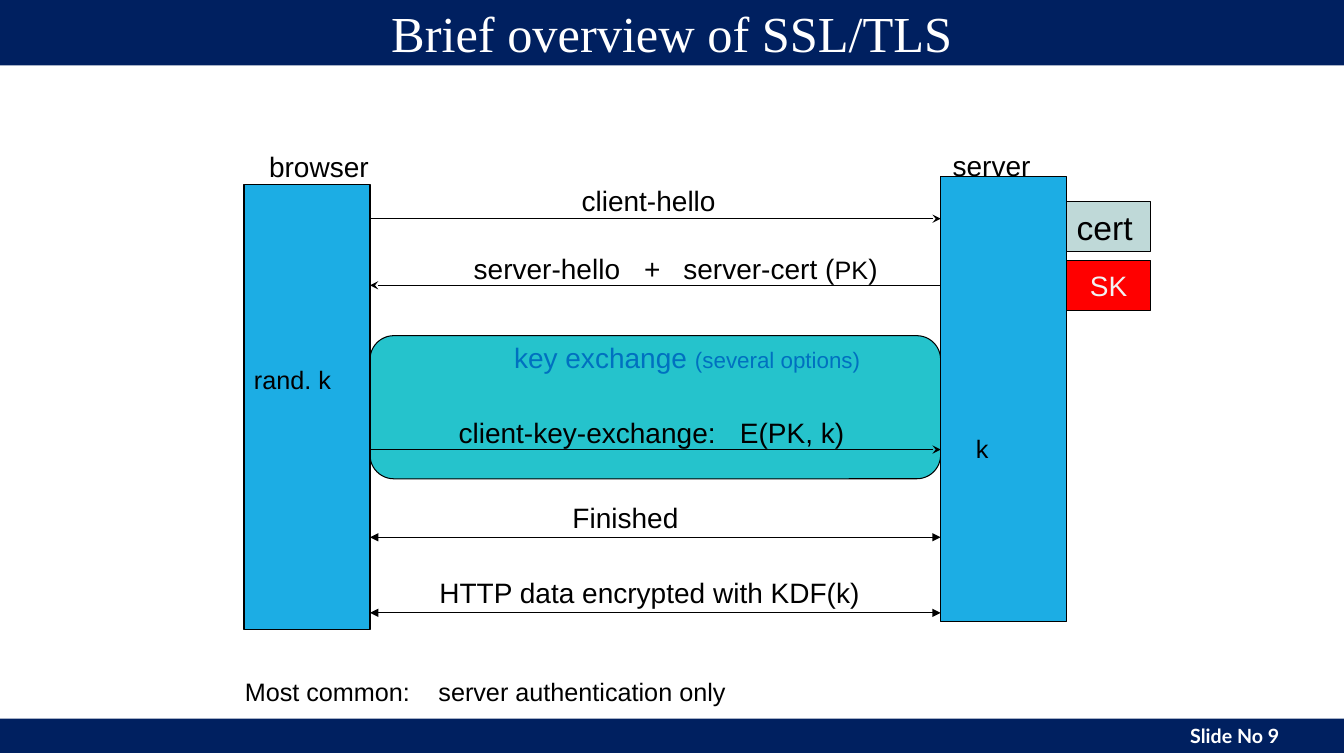
from lxml import etree
from pptx import Presentation
from pptx import util as u
from pptx.dml.color import RGBColor
from pptx.enum import shapes, text
from pptx.oxml import ns

NAVY = RGBColor(0x00, 0x20, 0x60)
WHITE = RGBColor(0xFF, 0xFF, 0xFF)
BLACK = RGBColor(0x00, 0x00, 0x00)
SKY = RGBColor(0x1C, 0xAD, 0xE4)
TEAL = RGBColor(0x25, 0xC3, 0xCC)
BLUE = RGBColor(0x00, 0x70, 0xC0)
RED = RGBColor(0xFF, 0x00, 0x00)
PALE = RGBColor(0xBF, 0xD9, 0xD8)
LIGHT = RGBColor(0xF2, 0xF2, 0xF2)

BROWSER_LEFT, SERVER_LEFT = 2.42, 9.33
COLUMN_WIDTH, COLUMN_HEIGHT = 1.25, 4.42
BROWSER_EDGE = BROWSER_LEFT + COLUMN_WIDTH
SERVER_EDGE = SERVER_LEFT + COLUMN_WIDTH
SPAN = SERVER_LEFT - BROWSER_EDGE

deck = Presentation()
deck.slide_width, deck.slide_height = u.Inches(13.33), u.Inches(7.5)
page = deck.slides.add_slide(deck.slide_layouts[6])


def write(shape, spans, size=20, color=BLACK, font="Arial", bold=False,
          align=text.PP_ALIGN.LEFT, anchor=text.MSO_ANCHOR.TOP, right=0.1, tabs=()):
    frame = shape.text_frame
    frame.word_wrap = True
    frame.vertical_anchor = anchor
    frame.margin_right = u.Inches(right)
    para = frame.paragraphs[0]
    para.alignment = align
    if tabs:
        stops = etree.SubElement(para._p.get_or_add_pPr(), ns.qn("a:tabLst"))
        for stop in tabs:
            etree.SubElement(stops, ns.qn("a:tab"), pos=str(u.Inches(stop)), algn="l")
    for words, span_size in [(spans, size)] if isinstance(spans, str) else spans:
        span = para.add_run()
        span.text = words
        span.font.size = u.Pt(span_size)
        span.font.name = font
        span.font.bold = bold
        span.font.color.rgb = color


RECT = shapes.MSO_SHAPE.RECTANGLE
ROUNDED = shapes.MSO_SHAPE.ROUNDED_RECTANGLE
CENTER = dict(align=text.PP_ALIGN.CENTER, anchor=text.MSO_ANCHOR.MIDDLE)
blocks = [
    (RECT, 0, 7.13, 13.33, 0.34, NAVY, False, "Slide No 9",
     dict(size=14, font="Lato", color=WHITE, bold=True, align=text.PP_ALIGN.RIGHT, right=0.64)),
    (RECT, 0, 0, 13.33, 0.65, NAVY, False, "Brief overview of SSL/TLS",
     dict(size=36, font="Times New Roman", color=WHITE, **CENTER)),
    (ROUNDED, BROWSER_EDGE, 3.33, SPAN, 1.42, TEAL, True, None, {}),
    (RECT, BROWSER_LEFT, 1.83, COLUMN_WIDTH, COLUMN_HEIGHT, SKY, True, None, {}),
    (RECT, SERVER_LEFT, 1.75, COLUMN_WIDTH, COLUMN_HEIGHT, SKY, True, None, {}),
    (RECT, SERVER_EDGE, 2, 0.83, 0.5, PALE, True, "cert", dict(size=24)),
    (RECT, SERVER_EDGE, 2.58, 0.83, 0.5, RED, True, "SK", dict(color=LIGHT, **CENTER)),
]
for kind, left, top, width, height, fill, outlined, words, style in blocks:
    block = page.shapes.add_shape(kind, *map(u.Inches, (left, top, width, height)))
    block.shadow.inherit = False
    block.fill.solid()
    block.fill.fore_color.rgb = fill
    if outlined:
        block.line.color.rgb = BLACK
        block.line.width = u.Pt(0.75)
    else:
        block.line.fill.background()
    if words:
        write(block, words, **style)

messages = [
    (BROWSER_EDGE, SERVER_LEFT, 2.17, {"tailEnd": "stealth"}),
    (SERVER_LEFT, BROWSER_EDGE, 2.83, {"tailEnd": "stealth"}),
    (BROWSER_EDGE, SERVER_LEFT, 4.46, {"tailEnd": "stealth"}),
    (BROWSER_EDGE, SERVER_LEFT, 5.33, {"headEnd": "triangle", "tailEnd": "triangle"}),
    (BROWSER_EDGE, SERVER_LEFT, 6.08, {"headEnd": "triangle", "tailEnd": "triangle"}),
]
for start, end, level, heads in messages:
    arrow = page.shapes.add_connector(
        shapes.MSO_CONNECTOR.STRAIGHT, *map(u.Inches, (start, level, end, level)))
    arrow.line.color.rgb = BLACK
    arrow.line.width = u.Pt(0.75)
    for side, head in heads.items():
        etree.SubElement(arrow.line._get_or_add_ln(), ns.qn("a:" + side), type=head)
    etree.SubElement(arrow._element.spPr, ns.qn("a:effectLst"))

labels = [
    (2.57, 1.43, 1.2, "browser", {}),
    (9.35, 1.42, 0.98, "server", {}),
    (5.67, 1.77, 1.54, "client-hello", {}),
    (4.6, 2.45, 4.27, [("server-hello\t+\tserver-cert (", 20), ("PK", 18), (")", 20)],
     dict(tabs=(1.69, 2.08))),
    (5, 3.33, 3.67, [("key exchange ", 20), ("(several options)", 16)], dict(color=BLUE)),
    (4.45, 4.07, 4.13, "client-key-exchange:\tE(PK, k)", dict(tabs=(2.79,))),
    (2.42, 3.57, 1.25, "rand. k", dict(size=18)),
    (9.58, 4.25, 0.33, "k", dict(size=18)),
    (5.58, 4.92, 1.26, "Finished", {}),
    (4.26, 5.66, 4.4, "HTTP data encrypted with KDF(k)", {}),
    (2.33, 6.66, 5.01, "Most common:\tserver authentication only", dict(size=18, tabs=(1.92,))),
]
for left, top, width, words, style in labels:
    height = 0.4 if style.get("size") == 18 else 0.44
    box = page.shapes.add_textbox(*map(u.Inches, (left, top, width, height)))
    box.text_frame.auto_size = text.MSO_AUTO_SIZE.SHAPE_TO_FIT_TEXT
    write(box, words, **style)

deck.save("out.pptx")
